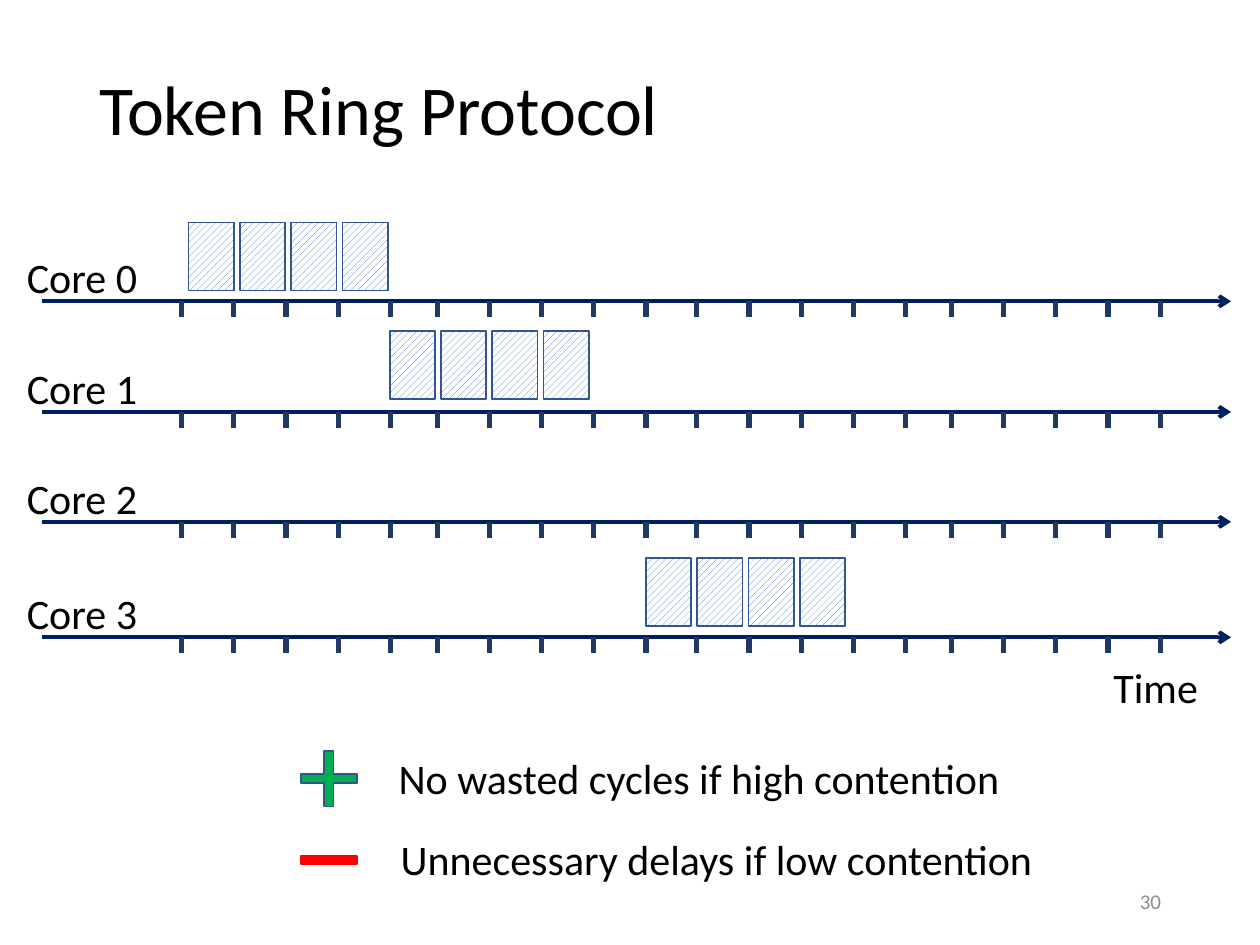
"""Build the Token Ring Protocol slide: four core timelines with bursts of slots."""
import pptx
import pptx.dml.color
import pptx.enum.dml
import pptx.enum.shapes
import pptx.enum.text
import pptx.oxml
import pptx.oxml.ns
import pptx.util
from dataclasses import dataclass


@dataclass(frozen=True)
class Theme:
    font: str = "Calibri"
    ink: str = "000000"
    gray: str = "8C8C8C"
    axis: str = "002060"
    tick: str = "203864"
    hatch: str = "4472C4"
    edge: str = "325491"
    white: str = "FFFFFF"
    good: str = "00B050"
    bad: str = "FF0000"
    head: int = 40
    body: int = 24
    note: int = 12


THEME = Theme()
Pt = pptx.util.Pt
ALIGN = pptx.enum.text.PP_ALIGN
SHAPE = pptx.enum.shapes.MSO_SHAPE
MIDDLE = pptx.enum.text.MSO_ANCHOR.MIDDLE

TITLE = "Token Ring Protocol"
CORES = [
    ("Core 0", 172.2, (107.8, 127.2)),
    ("Core 1", 235.4, (222.7, 189.2)),
    ("Core 2", 298.2, None),
    ("Core 3", 364.2, (369.2, 319)),
]
LABELS = [
    ("Time ", 628.6, 374.5, 69),
    ("No wasted cycles if high contention ", 218.9, 426.2, 366.5),
    ("Unnecessary delays if low contention", 218.9, 472.5, 381),
]
SIGNS = [
    (SHAPE.MATH_PLUS, 423.4, 43.2, THEME.good, THEME.edge, 0.123),
    (SHAPE.MATH_MINUS, 482.4, 18, THEME.bad, THEME.bad, 0.2352),
]
PAGE = "30"

AXIS = (24, 703.5)
GROUPS = (103.7, 249.8, 398.2, 543.6)
PER_GROUP, TICK_STEP, TICK_LEN = 5, 29.85, 9
SLOTS, SLOT_STEP, SLOT_SIZE = 4, 29.3, (25.9, 38.9)
LABEL_H, LABEL_RISE = 36.3, 32


def tint(code):
    return pptx.dml.color.RGBColor.from_string(code)


def write(frame, text, size, color, align):
    par = frame.paragraphs[0]
    par.alignment = align
    run = par.add_run()
    run.text = text
    run.font.name = THEME.font
    run.font.size = Pt(size)
    run.font.color.rgb = tint(color)
    return par


def label(slide, text, x, y, w):
    frame = slide.shapes.add_textbox(Pt(x), Pt(y), Pt(w), Pt(LABEL_H)).text_frame
    frame.word_wrap = False
    frame.auto_size = pptx.enum.text.MSO_AUTO_SIZE.SHAPE_TO_FIT_TEXT
    write(frame, text, THEME.body, THEME.ink, ALIGN.CENTER)


def rule(slide, start, end, color, width, arrow=False):
    kind = pptx.enum.shapes.MSO_CONNECTOR.STRAIGHT
    line = slide.shapes.add_connector(kind, *(Pt(v) for v in start + end))
    line.line.color.rgb = tint(color)
    line.line.width = Pt(width)
    if arrow:
        tip = pptx.oxml.ns.qn("a:tailEnd")
        line.line._get_or_add_ln().makeelement(tip)
        pen = line._element.spPr.find(pptx.oxml.ns.qn("a:ln"))
        pen.append(pen.makeelement(tip, {"type": "arrow"}))
    props = line._element.spPr
    props.append(props.makeelement(pptx.oxml.ns.qn("a:effectLst")))


def block(slide, kind, x, y, w, h, edge):
    shape = slide.shapes.add_shape(kind, Pt(x), Pt(y), Pt(w), Pt(h))
    shape.shadow.inherit = False
    shape.line.color.rgb = tint(edge)
    shape.line.width = Pt(1)
    return shape


def burst(slide, x, y):
    for i in range(SLOTS):
        fill = block(slide, SHAPE.RECTANGLE, x + i * SLOT_STEP, y,
                     *SLOT_SIZE, THEME.edge).fill
        fill.patterned()
        fill.pattern = pptx.enum.dml.MSO_PATTERN.WIDE_UPWARD_DIAGONAL
        fill.fore_color.rgb = tint(THEME.hatch)
        fill.back_color.rgb = tint(THEME.white)


def track(slide, name, y, slots):
    rule(slide, (AXIS[0], y), (AXIS[1], y), THEME.axis, 2.25, arrow=True)
    for start in GROUPS:
        for i in range(PER_GROUP):
            x = start + i * TICK_STEP
            rule(slide, (x, y + TICK_LEN), (x, y), THEME.tick, 3)
    label(slide, name, 7.9, y - LABEL_RISE, 77.8)
    if slots:
        burst(slide, *slots)


def main():
    deck = pptx.Presentation()
    deck.slide_width, deck.slide_height = Pt(720), Pt(540)
    slide = deck.slides.add_slide(deck.slide_layouts[5])

    title = slide.shapes.title
    title.left, title.top, title.width, title.height = Pt(49.5), Pt(12.2), Pt(621), Pt(104.4)
    title.text_frame.vertical_anchor = MIDDLE
    par = write(title.text_frame, TITLE, THEME.head, THEME.ink, ALIGN.LEFT)
    par.line_spacing = 0.9

    page = slide.shapes.add_textbox(Pt(508.5), Pt(500.5), Pt(162), Pt(28.8)).text_frame
    page.word_wrap = True
    page.vertical_anchor = MIDDLE
    write(page, PAGE, THEME.note, THEME.gray, ALIGN.RIGHT)

    for core in CORES:
        track(slide, *core)
    for item in LABELS:
        label(slide, *item)
    for kind, y, h, color, edge, thick in SIGNS:
        sign = block(slide, kind, 166.4, y, 43.2, h, edge)
        sign.adjustments[0] = thick
        sign.fill.solid()
        sign.fill.fore_color.rgb = tint(color)

    deck.save("out.pptx")


if __name__ == "__main__":
    main()
